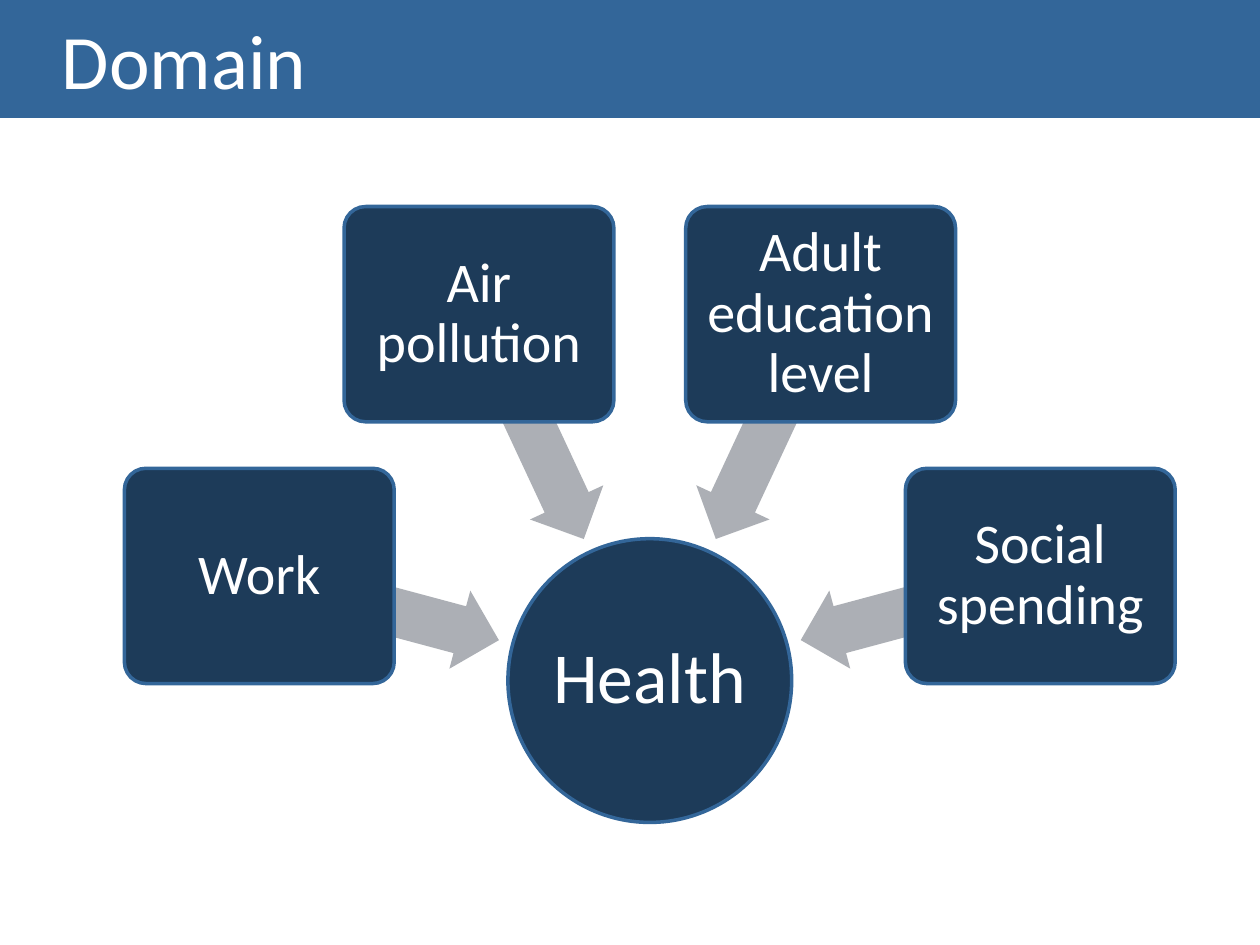
import dataclasses
import math

import pptx
import pptx.dml.color
import pptx.enum.shapes
import pptx.enum.text
import pptx.util

Cm = pptx.util.Cm
Pt = pptx.util.Pt
Color = pptx.dml.color.RGBColor.from_string
Shape = pptx.enum.shapes.MSO_SHAPE
Align = pptx.enum.text.PP_ALIGN


@dataclasses.dataclass(frozen=True)
class Theme:
    font: str = "Calibri"
    blue: str = "336699"
    navy: str = "1D3B59"
    gray: str = "ACAFB5"
    white: str = "FFFFFF"
    title_size: int = 44
    hub_size: int = 41
    factor_size: int = 32
    outline: int = 2


theme = Theme()

presentation = pptx.Presentation()
presentation.slide_width = Cm(25.4)
presentation.slide_height = Cm(19.05)
slide = presentation.slides.add_slide(presentation.slide_layouts[6])


def add_centered(kind, x, y, width, height, fill, line=None):
    """Add a filled shape around the centre (x, y), all in centimetres."""
    shape = slide.shapes.add_shape(
        kind, Cm(x - width / 2), Cm(y - height / 2), Cm(width), Cm(height))
    shape.shadow.inherit = False
    shape.fill.solid()
    shape.fill.fore_color.rgb = Color(fill)
    if line:
        shape.line.color.rgb = Color(line)
        shape.line.width = Pt(theme.outline)
    else:
        shape.line.fill.background()
    return shape


def set_label(shape, text, size, margin, align=Align.CENTER, spacing=0.9):
    frame = shape.text_frame
    frame.word_wrap = True
    frame.vertical_anchor = pptx.enum.text.MSO_ANCHOR.MIDDLE
    frame.margin_left = frame.margin_right = Cm(margin)
    frame.margin_top = frame.margin_bottom = Cm(min(margin, 0.18))
    frame.text = text
    paragraph = frame.paragraphs[0]
    paragraph.alignment = align
    paragraph.line_spacing = spacing
    font = paragraph.runs[0].font
    font.name = theme.font
    font.size = Pt(size)
    font.color.rgb = Color(theme.white)


# Title band
band = add_centered(Shape.RECTANGLE, 12.7, 1.19, 25.4, 2.38, theme.blue)
set_label(band, "Domain", theme.title_size, 1.25, Align.LEFT, 1.0)

# Hub, with its label kept on one line
hub_x, hub_y = 13.1, 13.72
hub = add_centered(Shape.OVAL, hub_x, hub_y, 5.72, 5.72, theme.navy, theme.blue)
set_label(hub, "Health", theme.hub_size, 0)
hub.text_frame.word_wrap = False

# Factors on an arc around the hub, each with an arrow pointing at it
arrow_radius, factor_radius = 5.65, 8.15
first_angle, angle_step = 195, 50
factors = ["Work", "Air pollution", "Adult education level", "Social spending"]

for index, factor in enumerate(factors):
    angle = first_angle + index * angle_step
    across, down = math.cos(math.radians(angle)), math.sin(math.radians(angle))

    arrow = add_centered(
        Shape.LEFT_ARROW, hub_x + arrow_radius * across,
        hub_y + arrow_radius * down, 5, 1.63, theme.gray)
    arrow.adjustments[0] = 0.6
    arrow.adjustments[1] = 0.5
    arrow.rotation = angle

    box = add_centered(
        Shape.ROUNDED_RECTANGLE, hub_x + factor_radius * across,
        hub_y + factor_radius * down, 5.44, 4.34, theme.navy, theme.blue)
    box.adjustments[0] = 0.1
    set_label(box, factor, theme.factor_size, 0.18)

presentation.save("out.pptx")
